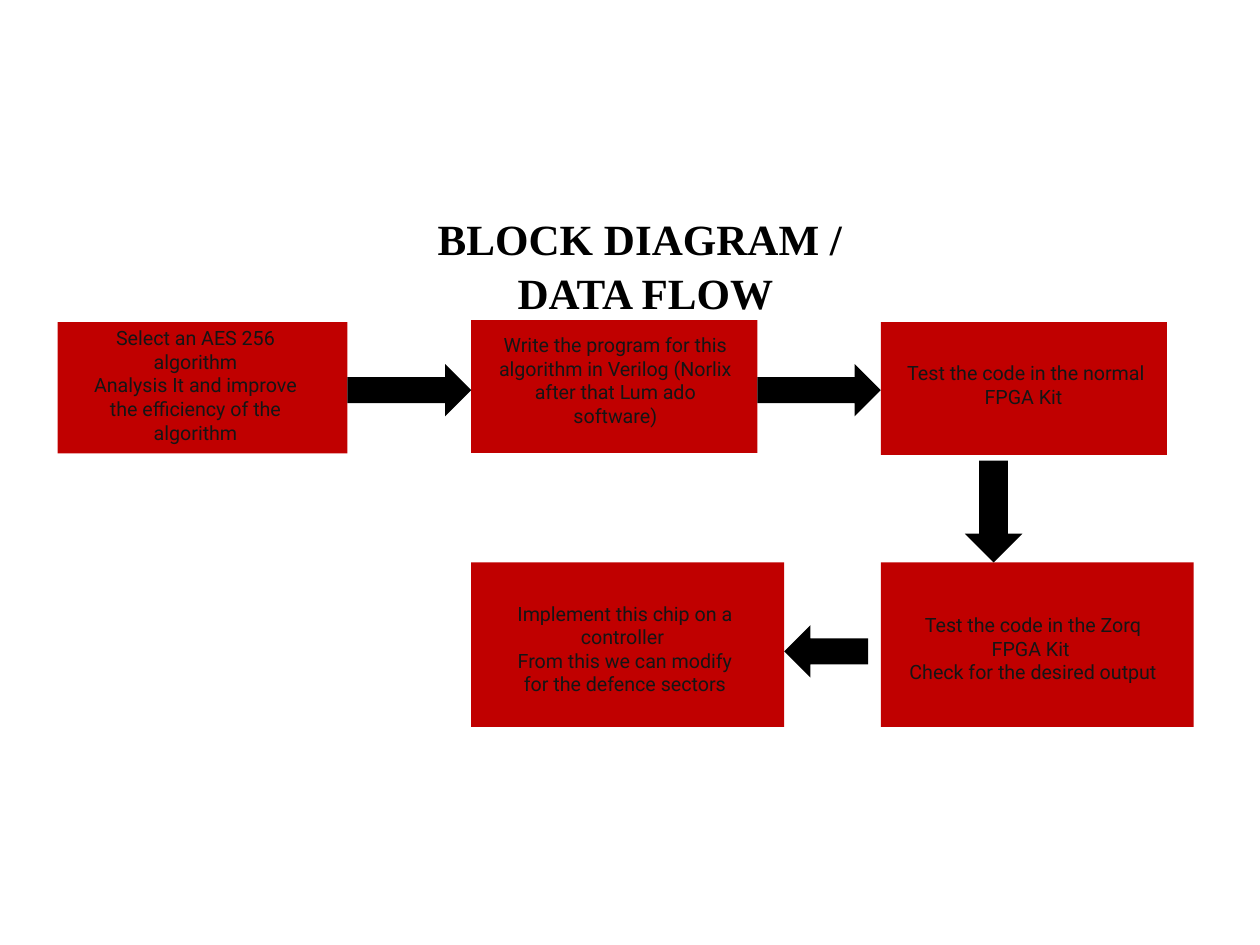
from pptx import Presentation, util as u
from pptx.dml.color import RGBColor
from pptx.enum import shapes, text

INK = {"box": "C00000", "arrow": "000000", "title": "000000", "body": "151515"}
TITLE = ["BLOCK DIAGRAM / ", "DATA FLOW"]

# Lengths in cm: box (left, top, width, height), label area, paragraphs
STEPS = [
    ((1.65, 9.24, 8.31, 3.76), (2.24, 9.19, 6.73, 3.71),
     ["Select an AES 256 algorithm",
      "Analysis It and improve the efficiency of the algorithm"]),
    ((13.51, 9.18, 8.2, 3.81), (14.12, 9.73, 7.04, 2.34),
     ["Write the program for this algorithm in Verilog "
      "(Norlix after that Lum ado software)"]),
    ((25.25, 9.24, 8.2, 3.81), (25.78, 10.21, 7.26, 1.65),
     ["Test the code in the normal FPGA Kit "]),
    ((25.25, 16.13, 8.97, 4.72), (25.78, 17.42, 7.67, 2.34),
     ["Test the code in the Zorq FPGA Kit ", "Check for the desired output"]),
    ((13.51, 16.13, 8.97, 4.72), (14.27, 17.09, 7.29, 3.02),
     ["Implement this chip on a controller ",
      "From this we can modify for the defence sectors"]),
]
THICK = 1.5

deck = Presentation()
deck.slide_width, deck.slide_height = u.Cm(36.12), u.Cm(27.1)
slide = deck.slides.add_slide(deck.slide_layouts[6])
KIND = shapes.MSO_SHAPE


def place(area):
    return [u.Cm(v) for v in area]


def block(kind, area, ink):
    shape = slide.shapes.add_shape(kind, *place(area))
    shape.shadow.inherit = False
    shape.fill.solid()
    shape.fill.fore_color.rgb = RGBColor.from_string(INK[ink])
    shape.line.fill.background()


def frame(area, inset, anchor):
    box = slide.shapes.add_textbox(*place(area)).text_frame
    box.word_wrap = True
    box.vertical_anchor = anchor
    box.margin_left = box.margin_right = u.Cm(inset)
    box.margin_top = box.margin_bottom = u.Cm(inset)
    return box


def write(para, words, font, size, ink, bold=False):
    para.alignment = text.PP_ALIGN.CENTER
    run = para.add_run()
    run.text = words
    run.font.name, run.font.size, run.font.bold = font, u.Pt(size), bold
    run.font.color.rgb = RGBColor.from_string(INK[ink])


head = frame((11.99, 5.99, 13.03, 2.84), 0.03, text.MSO_ANCHOR.TOP).paragraphs[0]
head.line_spacing = 1.05
for i, line in enumerate(TITLE):
    if i:
        head.add_line_break()
    write(head, line, "Times New Roman", 35, "title", True)

for area, _, _ in STEPS:
    block(KIND.RECTANGLE, area, "box")

first, second, third, fourth, last = [step[0] for step in STEPS]
for a, b in [(first, second), (second, third)]:
    end = a[0] + a[2]
    block(KIND.RIGHT_ARROW, (end, 10.44, b[0] - end, THICK), "arrow")
block(KIND.DOWN_ARROW, (27.66, 13.21, 1.65, fourth[1] - 13.21), "arrow")
block(KIND.LEFT_ARROW, (last[0] + last[2], 17.93, 2.41, THICK), "arrow")

for _, area, lines in STEPS:
    label = frame(area, 0.15, text.MSO_ANCHOR.MIDDLE)
    for i, line in enumerate(lines):
        para = label.add_paragraph() if i else label.paragraphs[0]
        write(para, line, "Roboto", 16, "body")

deck.save("out.pptx")
